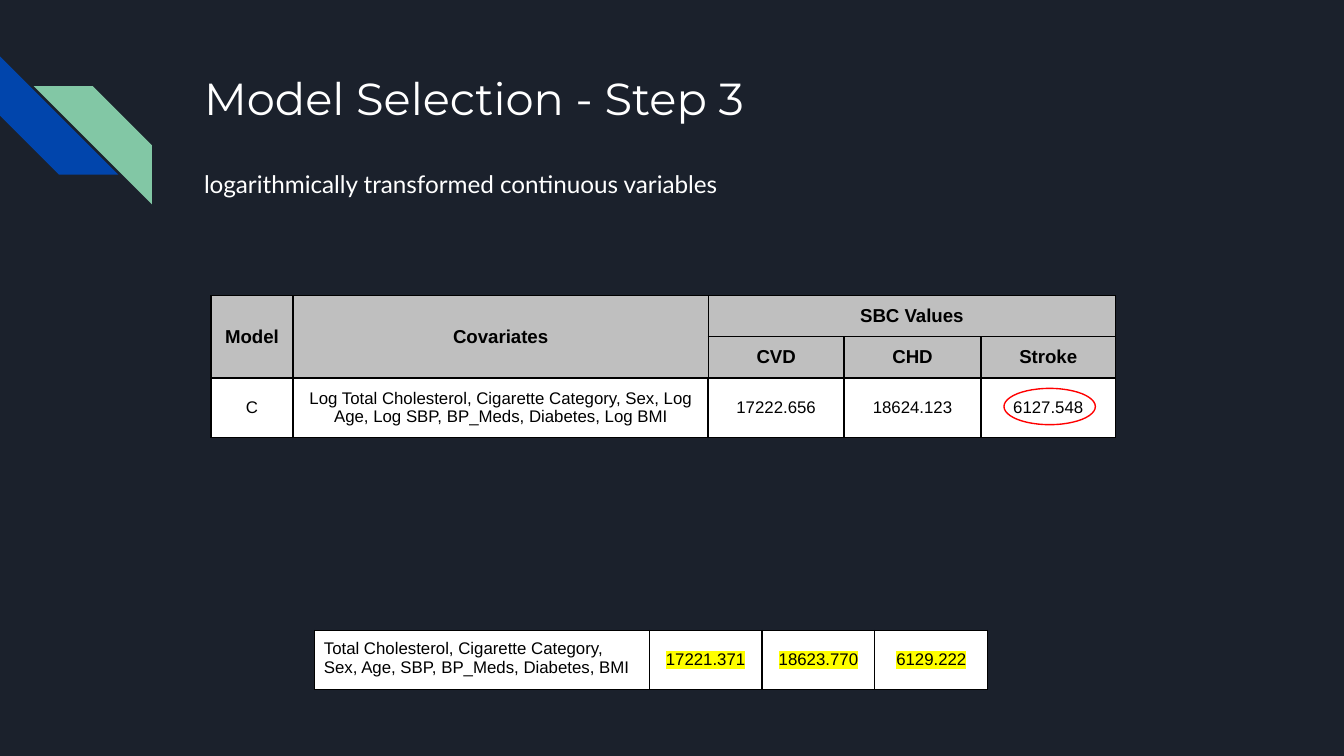
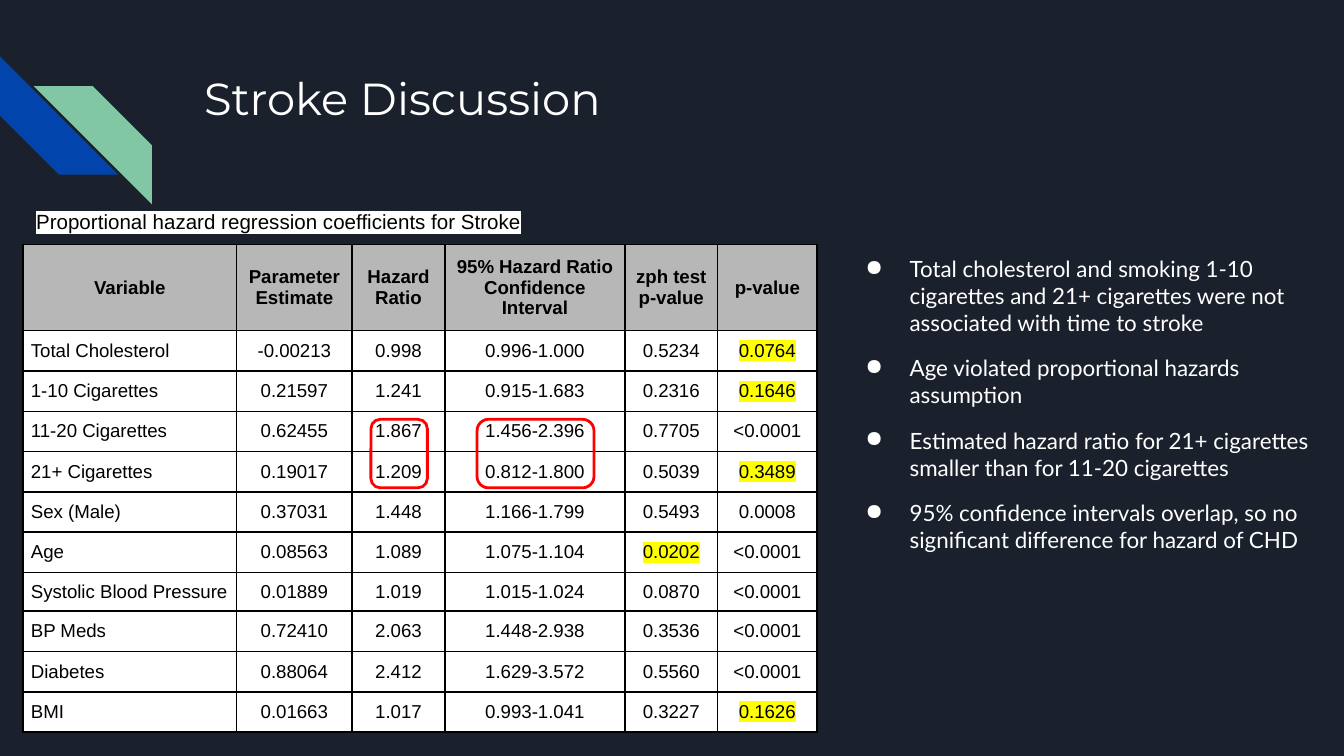
from dataclasses import dataclass
from typing import Optional

from lxml import etree
from pptx import Presentation
from pptx.dml.color import RGBColor
from pptx.enum.shapes import MSO_SHAPE
from pptx.enum.text import MSO_ANCHOR, PP_ALIGN
from pptx.oxml.ns import qn
from pptx.util import Pt

PX = 4572
SLIDE_WIDTH, SLIDE_HEIGHT = 2000, 1125

STRIPE = MSO_SHAPE.DIAGONAL_STRIPE
ELLIPSE = MSO_SHAPE.OVAL
ROUNDED = MSO_SHAPE.ROUNDED_RECTANGLE
LEFT, CENTER = PP_ALIGN.LEFT, PP_ALIGN.CENTER
TOP, MIDDLE = MSO_ANCHOR.TOP, MSO_ANCHOR.MIDDLE

NAVY, BLUE, GREEN = "1B212C", "0145AC", "82C7A5"
WHITE, BLACK, RED, YELLOW = "FFFFFF", "000000", "FF0000", "FFFF00"
SILVER, GRAY = "BFBFBF", "B7B7B7"
TITLE_FONT, BODY_FONT, TABLE_FONT = "Montserrat", "Lato", "Arial"


@dataclass(frozen=True)
class Box:
    left: int
    top: int
    width: int
    height: int


@dataclass(frozen=True)
class Mark:
    kind: int
    box: Box
    fill: Optional[str] = None
    line: Optional[str] = None
    line_width: float = 0
    rotation: int = 0
    flip: bool = False


@dataclass(frozen=True)
class Cell:
    text: str
    fill: str = WHITE
    size: float = 10
    bold: bool = False
    align: int = CENTER
    anchor: int = MIDDLE
    highlight: Optional[str] = None
    inset: int = 14
    border: float = 1


@dataclass(frozen=True)
class Grid:
    left: int
    top: int
    widths: list[int]
    heights: list[int]
    rows: list[list[Cell]]
    merges: tuple = ()


STRIPES = [
    Mark(STRIPE, Box(0, 84, 176, 176), fill=BLUE, rotation=270),
    Mark(STRIPE, Box(50, 128, 176, 176), fill=GREEN, flip=True),
]


def px(length: int) -> int:
    return length * PX


def rgb(color: str) -> RGBColor:
    return RGBColor.from_string(color)


def add_element(parent, tag: str, **attributes: str):
    return etree.SubElement(parent, qn(tag), attributes)


def add_bullet(paragraph, color: str) -> None:
    properties = paragraph._p.get_or_add_pPr()
    properties.set("marL", str(px(100)))
    properties.set("indent", str(px(-66)))
    add_element(add_element(properties, "a:buClr"), "a:srgbClr", val=color)
    add_element(properties, "a:buChar", char="●")


def write_text(frame, text: str, *, font: str, size: float, color: str,
               bold: bool = False, align: int = LEFT,
               highlight: Optional[str] = None, line_spacing: float = 1,
               space_before: float = 0, space_after: float = 0,
               bullet: bool = False) -> None:
    for index, line in enumerate(text.split("\n")):
        paragraph = frame.add_paragraph() if index else frame.paragraphs[0]
        paragraph.alignment = align
        paragraph.line_spacing = line_spacing
        paragraph.space_before = Pt(space_before if index else 0)
        paragraph.space_after = Pt(space_after)
        if bullet:
            add_bullet(paragraph, color)
        run = paragraph.add_run()
        run.text = line
        run.font.size = Pt(size)
        run.font.bold = bold
        run.font.color.rgb = rgb(color)
        run.font.name = font
        if highlight:
            mark = etree.Element(qn("a:highlight"))
            add_element(mark, "a:srgbClr", val=highlight)
            run._r.get_or_add_rPr().find(qn("a:solidFill")).addnext(mark)


def set_insets(target, inset: int) -> None:
    target.margin_left = target.margin_right = px(inset)
    target.margin_top = target.margin_bottom = px(inset)


def add_text(slide, box: Box, text: str, **text_format) -> None:
    shape = slide.shapes.add_textbox(
        px(box.left), px(box.top), px(box.width), px(box.height))
    frame = shape.text_frame
    frame.word_wrap = True
    set_insets(frame, 20)
    write_text(frame, text, **text_format)


def add_mark(slide, mark: Mark) -> None:
    box = mark.box
    shape = slide.shapes.add_shape(
        mark.kind, px(box.left), px(box.top), px(box.width), px(box.height))
    shape.shadow.inherit = False
    shape.rotation = mark.rotation
    if mark.flip:
        shape._element.spPr.get_or_add_xfrm().set("flipH", "1")
    if mark.fill:
        shape.fill.solid()
        shape.fill.fore_color.rgb = rgb(mark.fill)
    else:
        shape.fill.background()
    if mark.line:
        shape.line.color.rgb = rgb(mark.line)
        shape.line.width = Pt(mark.line_width)
    else:
        shape.line.fill.background()


def set_borders(cell, width: float) -> None:
    properties = cell._tc.get_or_add_tcPr()
    for index, side in enumerate(("a:lnL", "a:lnR", "a:lnT", "a:lnB")):
        line = etree.Element(qn(side), w=str(Pt(width)))
        fill = add_element(line, "a:solidFill")
        add_element(fill, "a:srgbClr", val=BLACK)
        properties.insert(index, line)


def add_grid(slide, grid: Grid) -> None:
    table = slide.shapes.add_table(
        len(grid.heights), len(grid.widths), px(grid.left), px(grid.top),
        px(sum(grid.widths)), px(sum(grid.heights))).table
    table.first_row = table.horz_banding = False
    for column, width in zip(table.columns, grid.widths):
        column.width = px(width)
    for row, height in zip(table.rows, grid.heights):
        row.height = px(height)
    for first, last in grid.merges:
        table.cell(*first).merge(table.cell(*last))
    for row, entries in zip(table.rows, grid.rows):
        for cell, entry in zip(row.cells, entries):
            cell.fill.solid()
            cell.fill.fore_color.rgb = rgb(entry.fill)
            cell.vertical_anchor = entry.anchor
            set_insets(cell, entry.inset)
            set_borders(cell, entry.border)
            if entry.text:
                write_text(cell.text_frame, entry.text, font=TABLE_FONT,
                           size=entry.size, color=BLACK, bold=entry.bold,
                           align=entry.align, highlight=entry.highlight)


def add_titled_slide(presentation, title: str):
    slide = presentation.slides.add_slide(presentation.slide_layouts[6])
    slide.background.fill.solid()
    slide.background.fill.fore_color.rgb = rgb(NAVY)
    for stripe in STRIPES:
        add_mark(slide, stripe)
    add_text(slide, Box(284, 86, 1540, 200), title,
             font=TITLE_FONT, size=24, color=WHITE)
    return slide


def header_row(texts: list[str], fill: str, border: float) -> list[Cell]:
    return [Cell(text, fill=fill, bold=True, border=border) for text in texts]


def build_model_selection(presentation) -> None:
    slide = add_titled_slide(presentation, "Model Selection - Step 3")
    add_text(slide, Box(284, 226, 1540, 636),
             "logarithmically transformed continuous variables",
             font=BODY_FONT, size=13, color=WHITE,
             line_spacing=1.15, space_after=12)
    model = ["C", "Log Total Cholesterol, Cigarette Category, Sex, Log Age, "
             "Log SBP, BP_Meds, Diabetes, Log BMI",
             "17222.656", "18624.123", "6127.548"]
    add_grid(slide, Grid(
        314, 440, [122, 618, 202, 204, 200], [59, 59, 83],
        [header_row(["Model", "Covariates", "SBC Values", "", ""], SILVER, 0.75),
         header_row(["", "", "CVD", "CHD", "Stroke"], SILVER, 0.75),
         [Cell(text, size=9) for text in model]],
        (((0, 0), (1, 0)), ((0, 1), (1, 1)), ((0, 2), (0, 4)))))
    covariates = ("Total Cholesterol, Cigarette Category,\n"
                  "Sex, Age, SBP, BP_Meds, Diabetes, BMI")
    values = ["17221.371", "18623.770", "6129.222"]
    add_grid(slide, Grid(
        468, 938, [498, 168, 168, 168], [85],
        [[Cell(covariates, size=9, align=LEFT, anchor=TOP, border=0.75)]
         + [Cell(value, size=9, highlight=YELLOW, border=0.75)
            for value in values]]))
    add_mark(slide, Mark(ELLIPSE, Box(1494, 578, 136, 54),
                         line=RED, line_width=0.75))


COEFFICIENTS = [
    ("Total Cholesterol", "-0.00213", "0.998", "0.996-1.000", "0.5234", "0.0764"),
    ("1-10 Cigarettes", "0.21597", "1.241", "0.915-1.683", "0.2316", "0.1646"),
    ("11-20 Cigarettes", "0.62455", "1.867", "1.456-2.396", "0.7705", "<0.0001"),
    ("21+ Cigarettes", "0.19017", "1.209", "0.812-1.800", "0.5039", "0.3489"),
    ("Sex (Male)", "0.37031", "1.448", "1.166-1.799", "0.5493", "0.0008"),
    ("Age", "0.08563", "1.089", "1.075-1.104", "0.0202", "<0.0001"),
    ("Systolic Blood Pressure", "0.01889", "1.019", "1.015-1.024", "0.0870", "<0.0001"),
    ("BP Meds", "0.72410", "2.063", "1.448-2.938", "0.3536", "<0.0001"),
    ("Diabetes", "0.88064", "2.412", "1.629-3.572", "0.5560", "<0.0001"),
    ("BMI", "0.01663", "1.017", "0.993-1.041", "0.3227", "0.1626"),
]

FINDINGS = [
    "Total cholesterol and smoking 1-10 cigarettes and 21+ cigarettes "
    "were not associated with time to stroke",
    "Age violated proportional hazards assumption",
    "Estimated hazard ratio for 21+ cigarettes smaller than for 11-20 cigarettes",
    "95% confidence intervals overlap, so no significant difference "
    "for hazard of CHD",
]


def coefficient_row(values: tuple[str, ...]) -> list[Cell]:
    variable, *estimates, zph_value, p_value = values
    zph_mark = YELLOW if float(zph_value) < 0.05 else None
    p_mark = YELLOW if float(p_value.lstrip("<")) > 0.05 else None
    return [Cell(variable, align=LEFT, inset=12),
            *(Cell(estimate, inset=12) for estimate in estimates),
            Cell(zph_value, highlight=zph_mark, inset=12),
            Cell(p_value, highlight=p_mark, inset=12)]


def build_stroke_discussion(presentation) -> None:
    slide = add_titled_slide(presentation, "Stroke Discussion")
    add_text(slide, Box(34, 286, 884, 78),
             "Proportional hazard regression coefficients for Stroke",
             font=TABLE_FONT, size=11, color=BLACK,
             highlight=WHITE, line_spacing=1.15)
    headings = ["Variable", "Parameter Estimate", "Hazard Ratio",
                "95% Hazard Ratio Confidence Interval",
                "zph test p-value", "p-value"]
    add_grid(slide, Grid(
        34, 364, [318, 172, 138, 268, 138, 148],
        [128] + [60] * 6 + [56] + [60] * 3,
        [header_row(headings, GRAY, 1)]
        + [coefficient_row(values) for values in COEFFICIENTS]))
    for left, width in ((710, 174), (552, 84)):
        add_mark(slide, Mark(ROUNDED, Box(left, 624, width, 102),
                             line=RED, line_width=1.5))
    add_text(slide, Box(1234, 360, 766, 488), "\n".join(FINDINGS),
             font=BODY_FONT, size=12, color=WHITE,
             space_before=10, bullet=True)


def main() -> None:
    presentation = Presentation()
    presentation.slide_width = px(SLIDE_WIDTH)
    presentation.slide_height = px(SLIDE_HEIGHT)
    build_model_selection(presentation)
    build_stroke_discussion(presentation)
    presentation.save("out.pptx")


if __name__ == "__main__":
    main()
